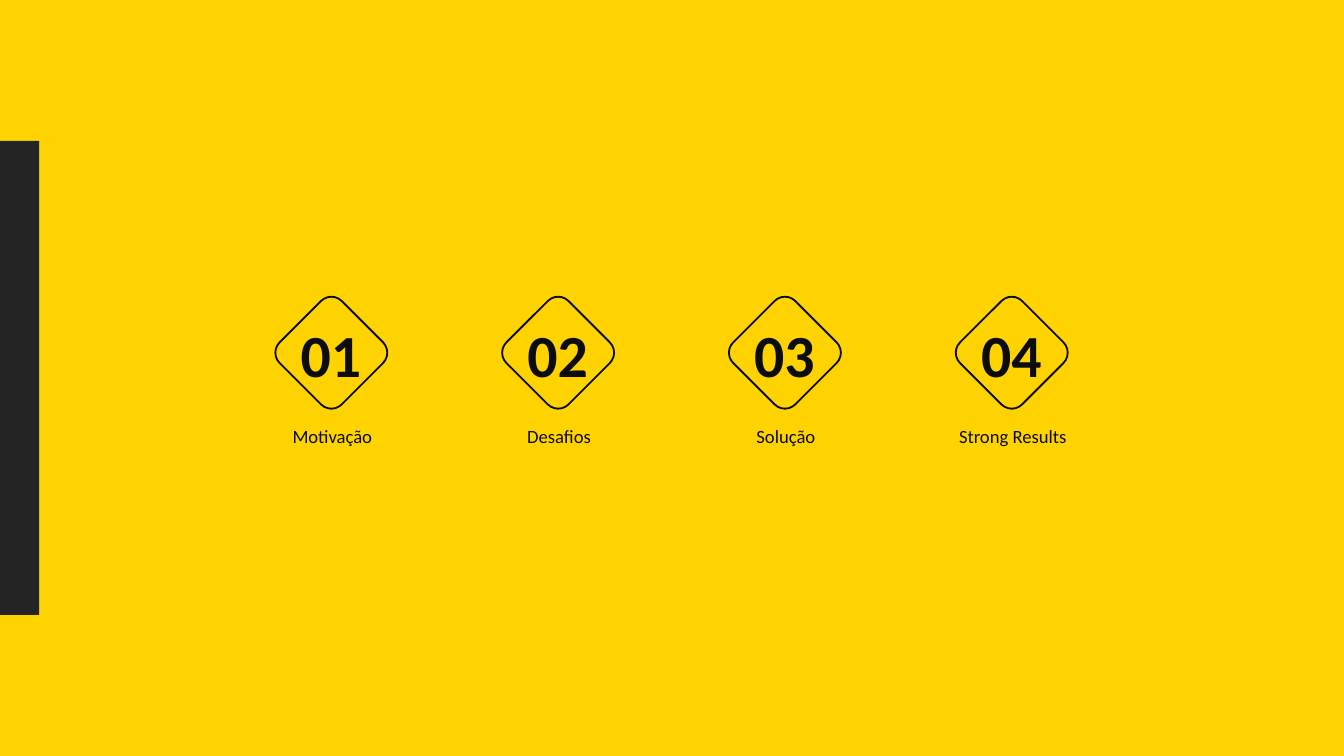
import dataclasses

import pptx
import pptx.dml.color
import pptx.enum.shapes
import pptx.enum.text
import pptx.shapes.autoshape
import pptx.slide
import pptx.util

RGBColor = pptx.dml.color.RGBColor
MSO_SHAPE = pptx.enum.shapes.MSO_SHAPE
PP_ALIGN = pptx.enum.text.PP_ALIGN

YELLOW = RGBColor(0xFF, 0xD3, 0x00)
CHARCOAL = RGBColor(0x24, 0x24, 0x24)
INK = RGBColor(0x0C, 0x0C, 0x0C)

EMU_PER_PX = 6350
SLIDE_W, SLIDE_H = 1440, 810
FIRST_CENTER, PITCH = 355, 243
DIAMOND = 94
FONT = "Calibri"


@dataclasses.dataclass(frozen=True)
class Box:
    left: int
    top: int
    width: int
    height: int

    def emu(self) -> list[pptx.util.Emu]:
        return [px(n) for n in dataclasses.astuple(self)]


@dataclasses.dataclass(frozen=True)
class Step:
    number: str
    label: str


STEPS = [
    Step("01", "Motivação"),
    Step("02", "Desafios"),
    Step("03", "Solução"),
    Step("04", "Strong Results"),
]


def px(n: int) -> pptx.util.Emu:
    return pptx.util.Emu(n * EMU_PER_PX)


def add_panel(s: pptx.slide.Slide, box: Box, color: RGBColor) -> None:
    sp = s.shapes.add_shape(MSO_SHAPE.RECTANGLE, *box.emu())
    sp.shadow.inherit = False
    sp.fill.solid()
    sp.fill.fore_color.rgb = color
    sp.line.fill.background()


def add_diamond(s: pptx.slide.Slide, box: Box) -> None:
    sp = s.shapes.add_shape(MSO_SHAPE.ROUNDED_RECTANGLE, *box.emu())
    sp.rotation = 45
    sp.shadow.inherit = False
    sp.fill.background()
    sp.line.color.rgb = INK
    sp.line.width = pptx.util.Pt(1)


def add_text(
    s: pptx.slide.Slide, box: Box, text: str, size: int
) -> pptx.shapes.autoshape.Shape:
    sp = s.shapes.add_textbox(*box.emu())
    tf = sp.text_frame
    tf.auto_size = pptx.enum.text.MSO_AUTO_SIZE.SHAPE_TO_FIT_TEXT
    r = tf.paragraphs[0].add_run()
    r.text = text
    r.font.name = FONT
    r.font.size = pptx.util.Pt(size)
    r.font.color.rgb = INK
    return sp


def add_label(s: pptx.slide.Slide, box: Box, text: str) -> None:
    tf = add_text(s, box, text, 10).text_frame
    tf.word_wrap = True
    tf.margin_left = tf.margin_right = tf.margin_top = tf.margin_bottom = 0
    tf.paragraphs[0].alignment = PP_ALIGN.CENTER


def add_number(s: pptx.slide.Slide, box: Box, text: str) -> None:
    tf = add_text(s, box, text, 32).text_frame
    tf.word_wrap = False
    tf.paragraphs[0].runs[0].font.bold = True


def add_step(s: pptx.slide.Slide, step: Step, center: int) -> None:
    left = center - DIAMOND // 2
    add_label(s, Box(center - 75, 455, 152, 24), step.label)
    add_diamond(s, Box(left, 331, DIAMOND, DIAMOND))
    add_number(s, Box(left, 333, 95, 92), step.number)


def main() -> None:
    prs = pptx.Presentation()
    prs.slide_width, prs.slide_height = px(SLIDE_W), px(SLIDE_H)
    s = prs.slides.add_slide(prs.slide_layouts[6])
    add_panel(s, Box(0, 0, SLIDE_W, SLIDE_H), YELLOW)
    add_panel(s, Box(-42, 151, 84, 508), CHARCOAL)
    for i, step in enumerate(STEPS):
        add_step(s, step, FIRST_CENTER + i * PITCH)
    prs.save("out.pptx")


if __name__ == "__main__":
    main()
